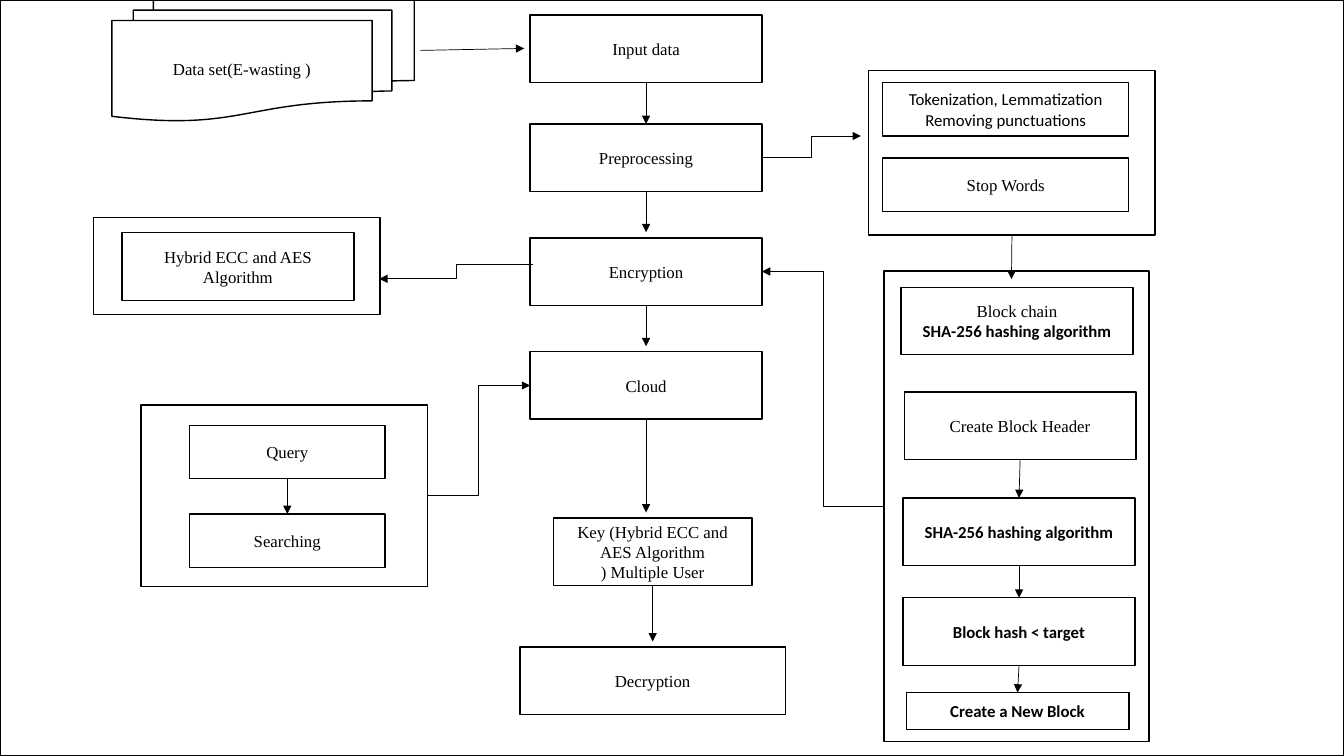
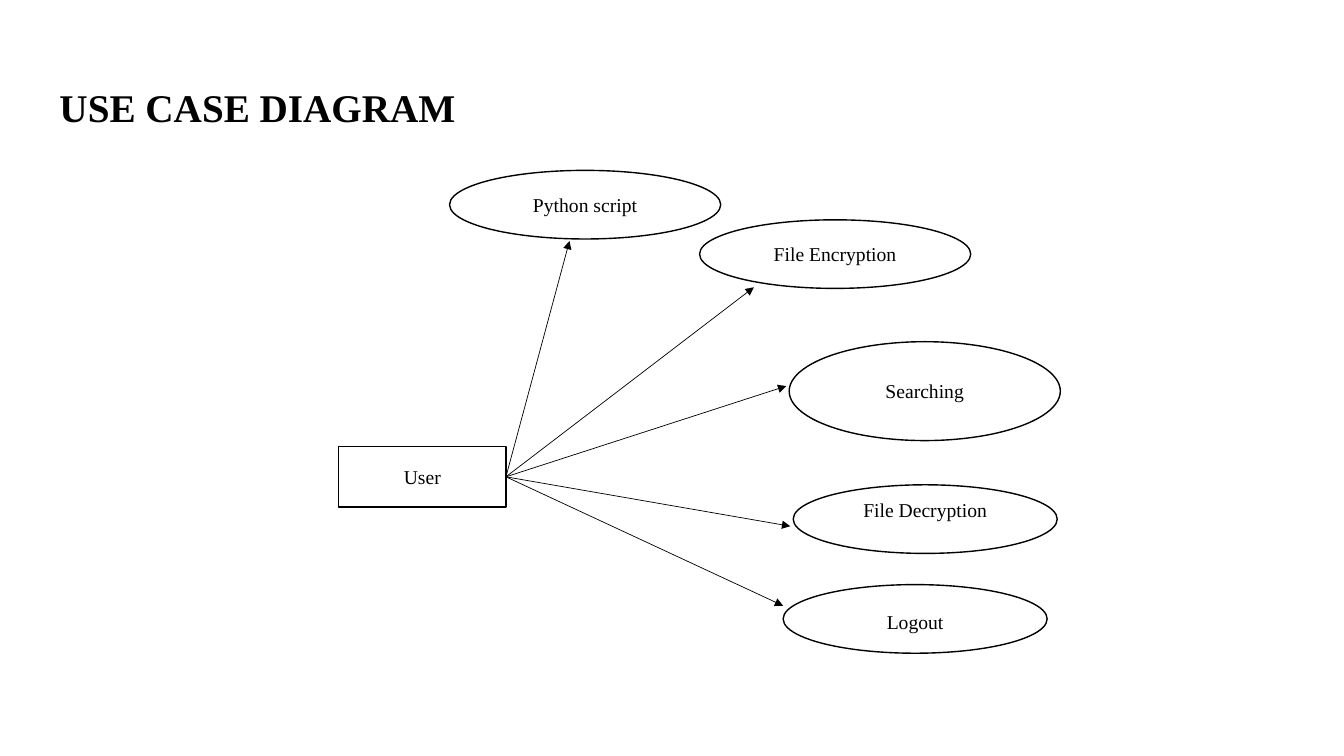
from lxml.etree import SubElement
from pptx import Presentation
from pptx.dml.color import RGBColor
from pptx.enum.shapes import MSO_CONNECTOR as Connector, MSO_SHAPE as Shape
from pptx.enum.text import MSO_ANCHOR as Anchor, PP_ALIGN as Align
from pptx.oxml.ns import qn
from pptx.util import Pt

BLACK = RGBColor(0, 0, 0)
WHITE = RGBColor(255, 255, 255)
SERIF = "Times New Roman"
SANS = "Calibri"
SLIDE_WIDTH, SLIDE_HEIGHT = 960, 540
TOP, LEFT, BOTTOM, RIGHT = range(4)
STEP_WIDTH, STEP_HEIGHT = 165.6, 48.2
ARROW_GAP = 4


def format_runs(paragraph, size, font=SERIF, bold=False):
    for run in paragraph.runs:
        run.font.size = Pt(size)
        run.font.name = font
        run.font.bold = bold
        run.font.color.rgb = BLACK


def add_box(slide, box, text="", size=12, font=SERIF, bold=False,
            kind=Shape.RECTANGLE, filled=True, text_shift=0):
    shape = slide.shapes.add_shape(kind, *map(Pt, box))
    shape.shadow.inherit = False
    if filled:
        shape.fill.solid()
        shape.fill.fore_color.rgb = WHITE
    else:
        shape.fill.background()
    shape.line.color.rgb = BLACK
    shape.line.width = Pt(1)
    if text:
        frame = shape.text_frame
        frame.word_wrap = True
        frame.vertical_anchor = Anchor.MIDDLE
        frame.margin_top = Pt(max(0, 2 * text_shift))
        frame.margin_bottom = Pt(max(0, -2 * text_shift))
        frame.text = text
        for paragraph in frame.paragraphs:
            paragraph.alignment = Align.CENTER
            format_runs(paragraph, size, font, bold)
    return shape


def side_point(shape, side):
    across = {LEFT: 0, RIGHT: 1}.get(side, 0.5)
    down = {TOP: 0, BOTTOM: 1}.get(side, 0.5)
    return ((shape.left + across * shape.width) / Pt(1),
            (shape.top + down * shape.height) / Pt(1))


def add_arrow(slide, start, end, kind=Connector.STRAIGHT):
    joints = [hasattr(place[0], "text_frame") for place in (start, end)]
    points = [side_point(*place) if joined else place
              for place, joined in zip((start, end), joints)]
    connector = slide.shapes.add_connector(
        kind, *(Pt(value) for point in points for value in point))
    if joints[0]:
        connector.begin_connect(*start)
    if joints[1]:
        connector.end_connect(*end)
    connector.line.color.rgb = BLACK
    connector.line.width = Pt(0.5)
    properties = connector.element.spPr
    SubElement(properties.find(qn("a:ln")), qn("a:tailEnd"), type="triangle")
    SubElement(properties, qn("a:effectLst"))


def add_arrow_down(slide, upper, lower):
    x, _ = side_point(upper, BOTTOM)
    _, y = side_point(lower, TOP)
    add_arrow(slide, (upper, BOTTOM), (x, y - ARROW_GAP))


def add_main_flow(slide, left, top):
    steps = [add_box(slide, (left, top + offset, STEP_WIDTH, STEP_HEIGHT), text)
             for text, offset in (("Input data", 0), ("Preprocessing", 77.8),
                                  ("Encryption", 159.1), ("Cloud", 240.5))]
    steps.append(add_box(slide, (left + 16.6, top + 359.3, 141.8, STEP_HEIGHT),
                         "Key (Hybrid ECC and AES Algorithm\n) Multiple User"))
    steps.append(add_box(slide, (left - 7.2, top + 451.4, 189.4, STEP_HEIGHT),
                         "Decryption"))
    add_arrow(slide, (steps[0], BOTTOM), (steps[1], TOP))
    for upper, lower in zip(steps[1:], steps[2:]):
        add_arrow_down(slide, upper, lower)
    return steps


def add_data_set(slide, left, top):
    add_box(slide, (left, top, 216, 86.4), "Data set(E-wasting )",
            kind=Shape.FLOWCHART_MULTIDOCUMENT)
    add_arrow(slide, (left + 220.3, top + 36), (left + 294.5, top + 34.6))


def add_word_panel(slide, left, top):
    panel = add_box(slide, (left, top, 204.5, 117.4))
    for text, offset, font in (
            ("Tokenization, Lemmatization Removing punctuations", 8.6, SANS),
            ("Stop Words", 62.6, SERIF)):
        add_box(slide, (left + 10, top + offset, 175.7, 38.2), text, font=font)
    return panel


def add_algorithm_panel(slide, left, top):
    add_box(slide, (left, top, 204.5, 69.1))
    add_box(slide, (left + 20.2, top + 10.8, STEP_WIDTH, STEP_HEIGHT),
            "Hybrid ECC and AES Algorithm")


def add_search_panel(slide, left, top):
    panel = add_box(slide, (left, top, 204.5, 129.6))
    query, searching = [
        add_box(slide, (left + 34.6, top + offset, 139.7, 38.2), text)
        for text, offset in (("Query", 14.4), ("Searching", 77.8))]
    add_arrow(slide, (query, BOTTOM), (searching, TOP))
    return panel


def add_block_panel(slide, left, top):
    panel = add_box(slide, (left, top, 189.4, 336.2))
    intro = add_box(slide, (left + 12.2, top + 11.5, STEP_WIDTH, STEP_HEIGHT),
                    "Block chain\nSHA-256 hashing algorithm")
    format_runs(intro.text_frame.paragraphs[1], 12, SANS, True)
    blocks = [add_box(slide, (left + 14.4, top + 86.4, STEP_WIDTH, STEP_HEIGHT),
                      "Create Block Header")]
    for text, x, y, width, height in (
            ("SHA-256 hashing algorithm", 13.6, 162, STEP_WIDTH, STEP_HEIGHT),
            ("Block hash < target", 13.6, 233.3, STEP_WIDTH, STEP_HEIGHT),
            ("Create a New Block", 15.8, 301, 159.1, 26.6)):
        blocks.append(add_box(slide, (left + x, top + y, width, height),
                              text, font=SANS, bold=True))
    for upper, lower in zip(blocks, blocks[1:]):
        add_arrow(slide, (upper, BOTTOM), (lower, TOP))
    return panel


def build_architecture(presentation):
    slide = presentation.slides.add_slide(presentation.slide_layouts[6])
    block_panel = add_block_panel(slide, 631.5, 193.7)
    _, preprocessing, encryption, cloud, _, _ = add_main_flow(slide, 378.7, 10.8)
    add_data_set(slide, 79.9, 0)
    word_panel = add_word_panel(slide, 620.6, 50.4)
    add_algorithm_panel(slide, 67, 155.5)
    search_panel = add_search_panel(slide, 100.8, 289.4)
    for start, end in (
            ((preprocessing, RIGHT), (614.9, 97.2)),
            ((380.9, 188.6), (270.9, 199.2)),
            ((search_panel, RIGHT), (cloud, LEFT)),
            ((block_panel, LEFT), (encryption, RIGHT))):
        add_arrow(slide, start, end, Connector.ELBOW)
    add_arrow(slide, (word_panel, BOTTOM), (722.5, 199.4))
    add_box(slide, (0, 0, SLIDE_WIDTH, SLIDE_HEIGHT), filled=False)


def add_title(slide, text, box):
    title = slide.shapes.title
    title.left, title.top, title.width, title.height = map(Pt, box)
    frame = title.text_frame
    frame.text = text
    frame.word_wrap = False
    frame.vertical_anchor = Anchor.MIDDLE
    paragraph = frame.paragraphs[0]
    paragraph.alignment = Align.LEFT
    format_runs(paragraph, 28, bold=True)


def add_use_cases(slide, left, top):
    user = add_box(slide, (left, top + 197.3, 119.5, 43.2), "User", size=14)
    for text, box, tip, text_shift in (
            ("Python script", (79.2, 0, 193.7, 49), (164.9, 50.4), 0),
            ("File Encryption", (257.8, 35.3, 193.7, 49), (296.6, 83.5), 0),
            ("Searching", (321.8, 122.4, 193.7, 70.6), (319.7, 154.1), 0),
            ("File Decryption", (324.7, 224.6, 188.6, 49), (322.6, 254.2), -6.5),
            ("Logout", (317.5, 295.9, 188.6, 49), (317.5, 311), 2)):
        x, y, width, height = box
        add_box(slide, (left + x, top + y, width, height), text, size=14,
                kind=Shape.OVAL, text_shift=text_shift)
        add_arrow(slide, (user, RIGHT), (left + tip[0], top + tip[1]))


def build_use_case_diagram(presentation):
    slide = presentation.slides.add_slide(presentation.slide_layouts[5])
    add_title(slide, "USE CASE DIAGRAM", (35.3, 52, 300.2, 48))
    add_use_cases(slide, 241.9, 121.7)


def main():
    presentation = Presentation()
    presentation.slide_width = Pt(SLIDE_WIDTH)
    presentation.slide_height = Pt(SLIDE_HEIGHT)
    build_architecture(presentation)
    build_use_case_diagram(presentation)
    presentation.save("out.pptx")


if __name__ == "__main__":
    main()
